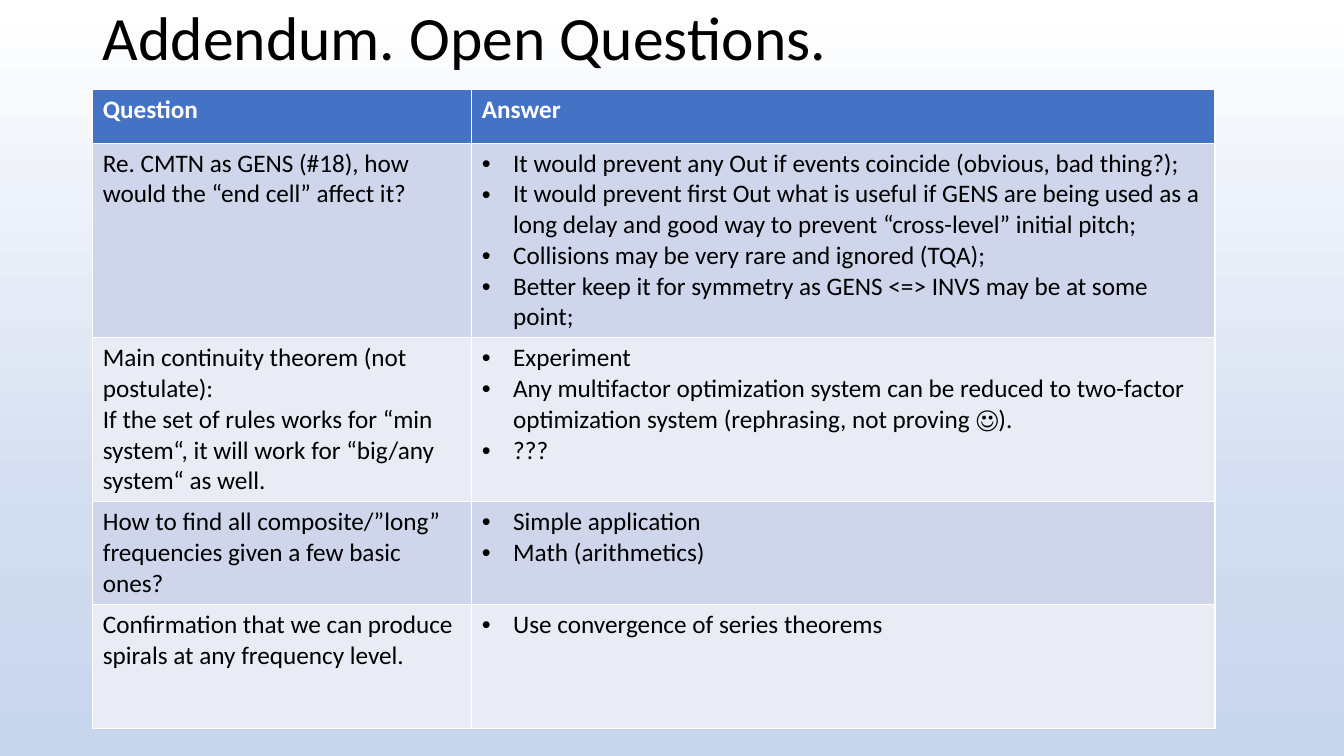
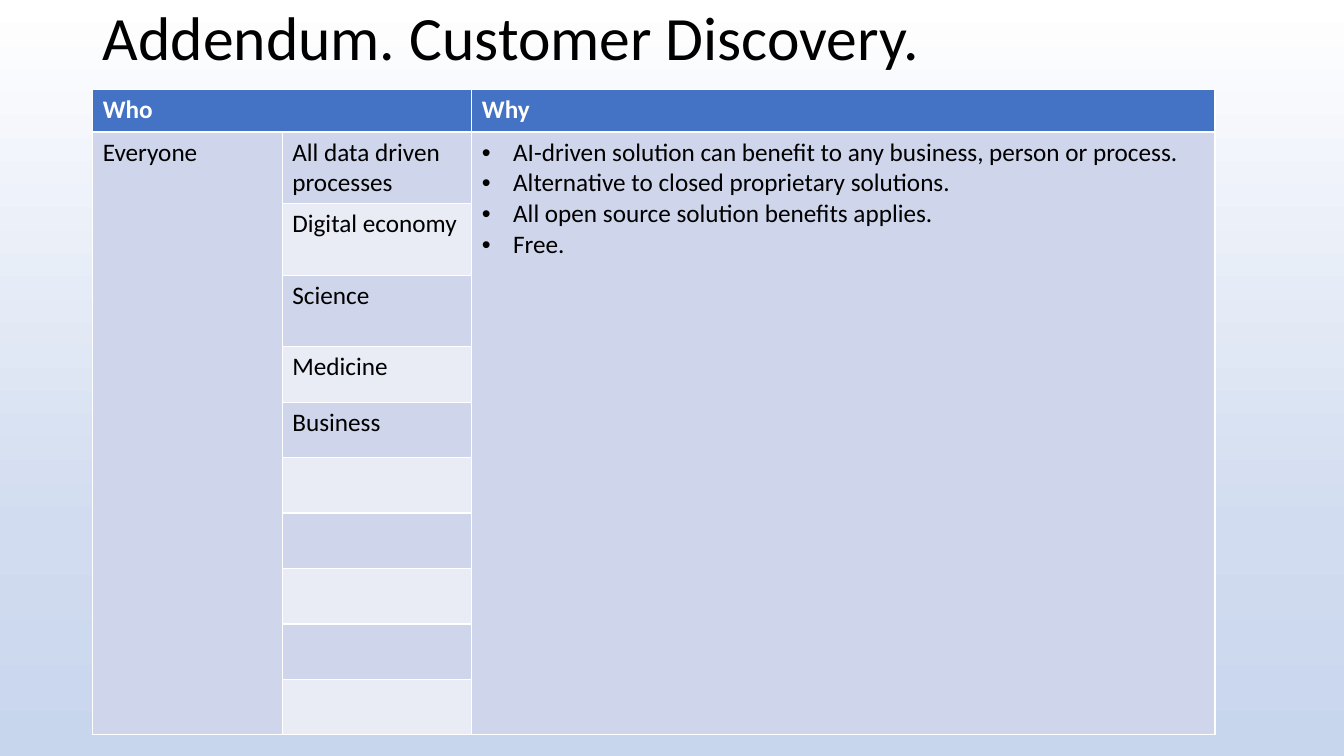
from dataclasses import dataclass

from lxml import etree
from pptx import Presentation
from pptx.dml.color import RGBColor
from pptx.enum.text import MSO_ANCHOR, MSO_AUTO_SIZE, PP_ALIGN
from pptx.oxml.ns import qn
from pptx.util import Inches, Pt

LEFT = PP_ALIGN.LEFT
MIDDLE = MSO_ANCHOR.MIDDLE
NO_FIT = MSO_AUTO_SIZE.NONE


@dataclass(frozen=True)
class Theme:
    font: str = "Calibri"
    ink: str = "000000"
    head_ink: str = "FFFFFF"
    head: str = "4472C4"
    bands: tuple = ("CFD5EA", "E9EBF5")
    back: tuple = ((0, "FFFFFF"), (70, "D1DCF0"), (100, "C7D5ED"))
    title_size: int = 44
    cell_size: int = 18
    left: float = 0.92
    top: float = 0.89
    indent: float = 0.31


THEME = Theme()

QUESTIONS = [
    ["Question", "Answer"],
    ["Re. CMTN as GENS (#18), how would the “end cell” affect it?",
     ["It would prevent any Out if events coincide (obvious, bad thing?);",
      "It would prevent first Out what is useful if GENS are being used as a "
      "long delay and good way to prevent “cross-level” initial pitch;",
      "Collisions may be very rare and ignored (TQA);",
      "Better keep it for symmetry as GENS <=> INVS may be at some point;"]],
    ["Main continuity theorem (not postulate):\n"
     "If the set of rules works for “min system“, it will work for "
     "“big/any system“ as well.",
     ["Experiment",
      "Any multifactor optimization system can be reduced to two-factor "
      "optimization system (rephrasing, not proving ☺).",
      "???"]],
    ["How to find all composite/”long” frequencies given a few basic ones?",
     ["Simple application", "Math (arithmetics)"]],
    ["Confirmation that we can produce spirals at any frequency level.",
     ["Use convergence of series theorems"]],
]

REASONS = [
    "AI-driven solution can benefit to any business, person or process.",
    "Alternative to closed proprietary solutions.",
    "All open source solution benefits applies.",
    "Free.",
]
FIELDS = ["Digital economy", "Science", "Medicine", "Business"] + [""] * 5
CUSTOMERS = [
    ["Who", "", "Why"],
    ["Everyone", "All data driven processes", REASONS],
    *(["", field, ""] for field in FIELDS),
]


def set_back(master):
    """Give all slides the gradient, running from top to bottom."""
    fill = master.background.fill
    fill.gradient()
    fill.gradient_angle = 270
    stops = next(master.element.iter(qn("a:gsLst")))
    for stop in list(stops):
        stops.remove(stop)
    for place, color in THEME.back:
        stop = etree.SubElement(stops, qn("a:gs"), pos=str(place * 1000))
        etree.SubElement(stop, qn("a:srgbClr"), val=color)


def style(para, size, color, bold=False):
    for run in para.runs:
        font = run.font
        font.name = THEME.font
        font.size = Pt(size)
        font.bold = bold
        font.color.rgb = RGBColor.from_string(color)


def add_bullet(para):
    props = para._p.get_or_add_pPr()
    indent = Inches(THEME.indent)
    props.set("marL", str(indent))
    props.set("indent", str(-indent))
    etree.SubElement(props, qn("a:buFont"), typeface="Arial")
    etree.SubElement(props, qn("a:buChar"), char="•")


def add_page(prs, title):
    slide = prs.slides.add_slide(prs.slide_layouts[5])
    shape = slide.shapes.title
    shape.left, shape.top = Inches(THEME.left), 0
    shape.width, shape.height = Inches(11.5), Inches(0.81)
    frame = shape.text_frame
    frame.text = title
    frame.auto_size = NO_FIT
    frame.vertical_anchor = MIDDLE
    para = frame.paragraphs[0]
    para.alignment = LEFT
    para.line_spacing = 0.9
    style(para, THEME.title_size, THEME.ink)
    return slide


def fill_cell(cell, value, row):
    """Write a string as plain text or a list as bullets."""
    is_head = row == 0
    is_list = isinstance(value, list)
    back = THEME.head if is_head else THEME.bands[(row - 1) % 2]
    cell.fill.solid()
    cell.fill.fore_color.rgb = RGBColor.from_string(back)
    cell.text_frame.text = "\n".join(value) if is_list else value
    for para in cell.text_frame.paragraphs:
        if is_list:
            add_bullet(para)
        style(para, THEME.cell_size,
              THEME.head_ink if is_head else THEME.ink, is_head)


def add_grid(slide, data, widths, heights):
    frame = slide.shapes.add_table(
        len(heights), len(widths), Inches(THEME.left), Inches(THEME.top),
        Inches(sum(widths)), Inches(sum(heights)))
    table = frame.table
    for col, width in zip(table.columns, widths):
        col.width = Inches(width)
    for row, height in zip(table.rows, heights):
        row.height = Inches(height)
    for row, values in enumerate(data):
        for col, value in enumerate(values):
            fill_cell(table.cell(row, col), value, row)
    return table


def main():
    prs = Presentation()
    prs.slide_width, prs.slide_height = Inches(13.33), Inches(7.5)
    set_back(prs.slide_master)

    page = add_page(prs, "Addendum. Open Questions.")
    add_grid(page, QUESTIONS, [3.76, 7.37], [0.53, 1.93, 1.62, 1.02, 1.23])

    page = add_page(prs, "Addendum. Customer Discovery.")
    table = add_grid(page, CUSTOMERS, [1.88, 1.88, 7.37],
                     [0.42] + [0.71] * 3 + [0.55] * 7)
    table.cell(0, 0).merge(table.cell(0, 1))
    last = len(CUSTOMERS) - 1
    for col in (0, 2):
        table.cell(1, col).merge(table.cell(last, col))

    prs.save("out.pptx")


if __name__ == "__main__":
    main()
